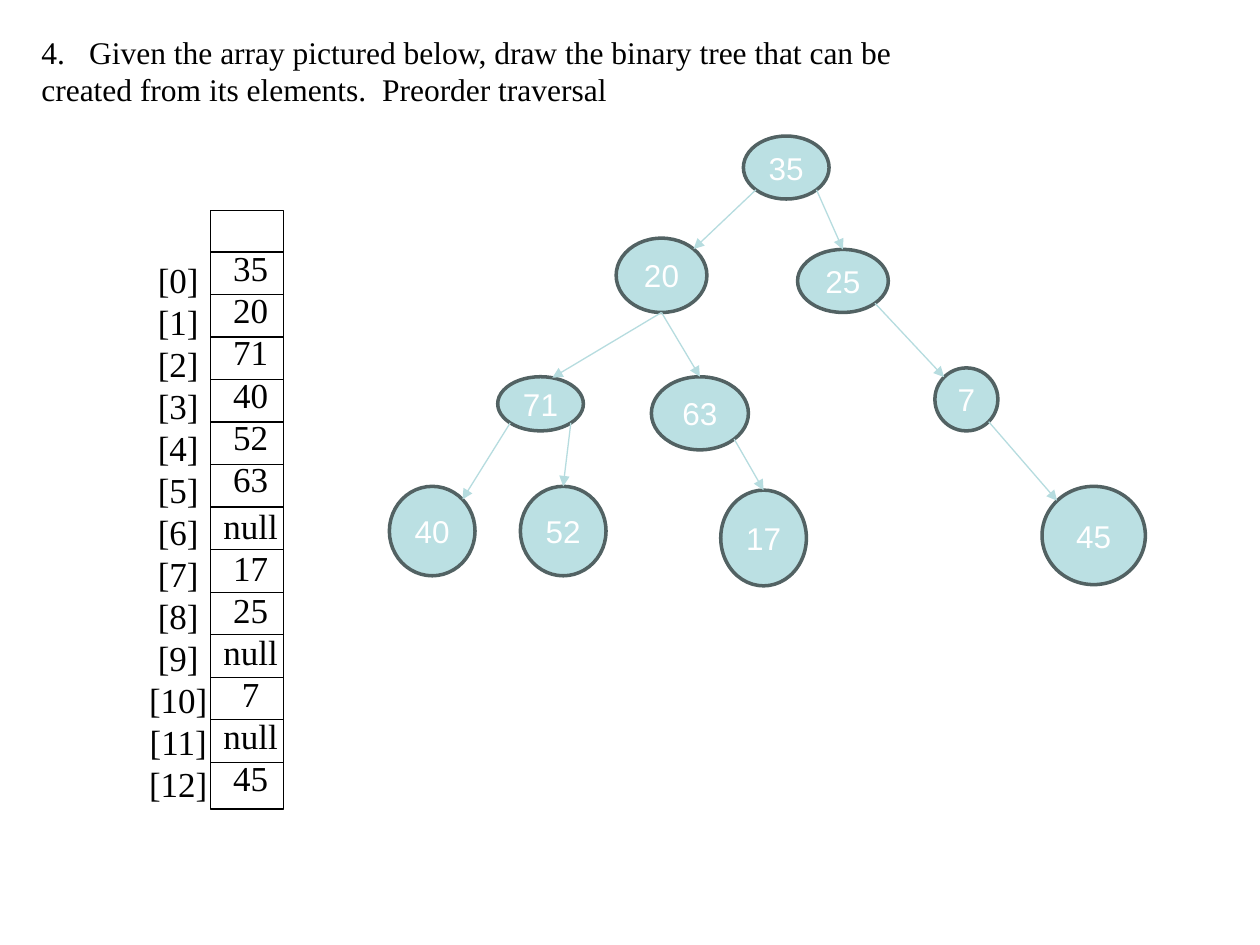
import math
import pptx
import pptx.dml.color
import pptx.enum.shapes
import pptx.enum.text
import pptx.oxml
import pptx.oxml.ns
import pptx.util
from pptx.util import Inches, Pt

SERIF, SANS = "Times New Roman", "Arial"
BLACK, WHITE, NODE_FILL, NODE_LINE, ARROW = "000000", "FFFFFF", "BBE0E3", "526263", "B6DCDF"
SHAPE = pptx.enum.shapes.MSO_SHAPE
ALIGN = pptx.enum.text.PP_ALIGN

QUESTION = ["Given the array pictured below, draw the binary tree that can be",
            "created from its elements.  Preorder traversal"]
VALUES = ["35", "20", "71", "40", "52", "63", "null", "17", "25", "null", "7", "null", "45"]
COLUMN = (1.67, 1.67, 0.58, 4.75)
FIRST_RULE, ROW = 2, 0.3375

# value: left, top, width, height
NODES = {
    "35": (5.9, 1.08, 0.68, 0.5),
    "20": (4.89, 1.89, 0.72, 0.59),
    "71": (3.95, 2.99, 0.68, 0.43),
    "40": (3.09, 3.86, 0.68, 0.71),
    "52": (4.13, 3.86, 0.68, 0.71),
    "63": (5.17, 2.99, 0.77, 0.58),
    "17": (5.72, 3.89, 0.68, 0.76),
    "25": (6.33, 1.98, 0.72, 0.5),
    "7": (7.42, 2.92, 0.5, 0.5),
    "45": (8.27, 3.86, 0.82, 0.78),
}
# degrees clockwise from the right-hand side of a node
ANGLES = {"br": 45, "b": 90, "bl": 135, "tl": 225, "t": 270, "tr": 315, "t+": 286}
# parent, side it leaves, child, side it reaches
EDGES = [
    ("35", "bl", "20", "tr"), ("63", "br", "17", "t"), ("20", "b", "63", "t"),
    ("71", "bl", "40", "tr"), ("71", "br", "52", "t"), ("20", "b", "71", "t+"),
    ("35", "br", "25", "t"), ("25", "br", "7", "tl"), ("7", "br", "45", "tl"),
]


def rgb(value):
    """Turn a hex string into a colour."""
    return pptx.dml.color.RGBColor.from_string(value)


def apply(target, **values):
    """Set each given attribute on the target."""
    for name, value in values.items():
        setattr(target, name, value)


def add_sub(parent, tag, **attrs):
    """Append a drawing element with attributes."""
    child = pptx.oxml.parse_xml("<a:%s %s/>" % (tag, pptx.oxml.ns.nsdecls("a")))
    for name, value in attrs.items():
        child.set(name, value)
    parent.append(child)


def write(tf, lines, size, font, color, align, pitch=None):
    """Fill a text frame with one paragraph per line."""
    for i, line in enumerate(lines):
        p = tf.paragraphs[0] if i == 0 else tf.add_paragraph()
        apply(p, alignment=align)
        if pitch:
            p.line_spacing = Pt(pitch)
        r = p.add_run()
        r.text = line
        apply(r.font, size=Pt(size), name=font)
        r.font.color.rgb = rgb(color)


def add_text(box, lines, size, align, side=0.0, top=0.05):
    """Add a serif text box with a line pitch of 1.2 times the size."""
    tf = s.shapes.add_textbox(*map(Inches, box)).text_frame
    apply(tf, word_wrap=True, margin_left=Inches(side), margin_right=Inches(side),
          margin_top=Inches(top))
    write(tf, lines, size, SERIF, BLACK, align, 1.2 * size)
    return tf


def add_line(start, end, color, arrow=False):
    """Draw a thin straight line, optionally with an arrowhead at its end."""
    line = s.shapes.add_connector(pptx.enum.shapes.MSO_CONNECTOR.STRAIGHT,
                                  *map(Inches, (*start, *end)))
    line.line.color.rgb = rgb(color)
    line.line.width = Pt(0.75)
    if arrow:
        add_sub(line.line._get_or_add_ln(), "tailEnd", type="triangle")
    add_sub(line._element.spPr, "effectLst")


def add_outline(kind, box, color, width, fill=None):
    """Add a preset shape with an outline and an optional fill."""
    sp = s.shapes.add_shape(kind, *map(Inches, box))
    sp.shadow.inherit = False
    if fill:
        sp.fill.solid()
        sp.fill.fore_color.rgb = rgb(fill)
    else:
        sp.fill.background()
    sp.line.color.rgb = rgb(color)
    sp.line.width = Pt(width)
    return sp


def rim(value, side):
    """Find the point on a node's outline at a named side."""
    left, top, width, height = NODES[value]
    angle = math.radians(ANGLES[side])
    return (left + width / 2 * (1 + math.cos(angle)),
            top + height / 2 * (1 + math.sin(angle)))


prs = pptx.Presentation()
apply(prs, slide_width=Inches(10), slide_height=Inches(7.5))
s = prs.slides.add_slide(prs.slide_layouts[6])

# Array column
add_outline(SHAPE.RECTANGLE, COLUMN, BLACK, 0.75)
add_text((1.08, 2, 0.67, 4.48), [f"[{i}]" for i in range(len(VALUES))], 20, ALIGN.CENTER)
for i in range(len(VALUES)):
    y = FIRST_RULE + i * ROW
    add_line((COLUMN[0], y), (COLUMN[0] + COLUMN[2], y), BLACK)

# Question, numbered from 4
tf = add_text((0.23, 0.21, 7.02, 0.71), QUESTION, 18, ALIGN.LEFT, side=0.1)
pPr = tf.paragraphs[0]._p.get_or_add_pPr()
pPr.set("marL", str(Inches(0.38)))
pPr.set("indent", str(-Inches(0.38)))
add_sub(pPr, "buFont", typeface=SERIF)
add_sub(pPr, "buAutoNum", type="arabicPeriod", startAt="4")

# Array values, one row below the top of the column
tf = add_text((1.67, 1.58, 0.64, 4.81), VALUES, 20, ALIGN.CENTER, top=0.38)
tf.paragraphs[VALUES.index("null")].space_before = Pt(3)

# Tree
for value, box in NODES.items():
    sp = add_outline(SHAPE.FLOWCHART_CONNECTOR, box, NODE_LINE, 2, NODE_FILL)
    apply(sp.text_frame, word_wrap=False, margin_left=0, margin_right=0,
          vertical_anchor=pptx.enum.text.MSO_ANCHOR.MIDDLE)
    write(sp.text_frame, [value], 18, SANS, WHITE, ALIGN.CENTER)
for parent, leave, child, reach in EDGES:
    add_line(rim(parent, leave), rim(child, reach), ARROW, arrow=True)

prs.save("out.pptx")
